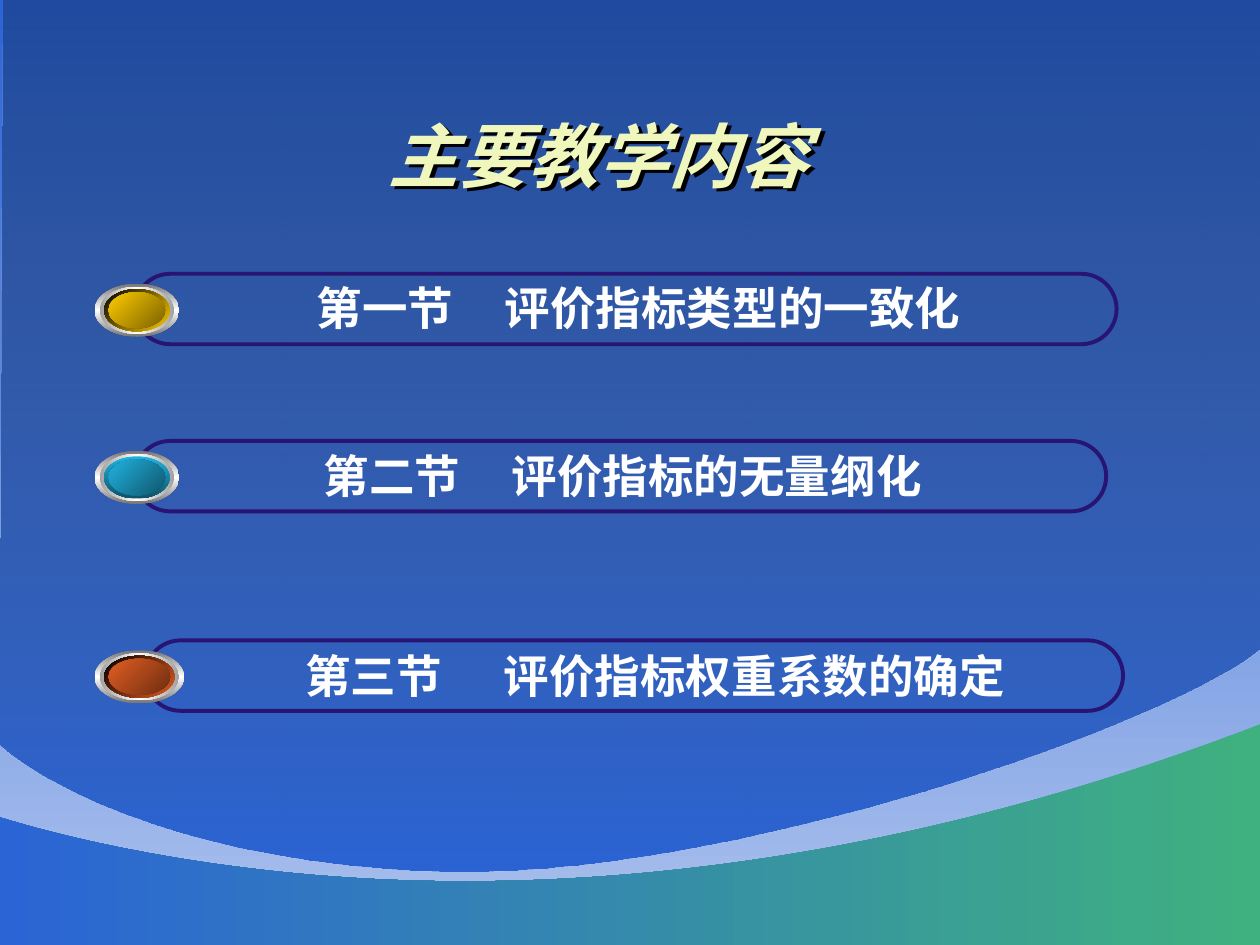
from lxml import etree
from pptx import Presentation
from pptx.dml.color import RGBColor
from pptx.enum import shapes, text
from pptx.oxml.ns import qn
from pptx.util import Cm, Pt

C = {
    "blue": "2B64D5", "pale": "ABC1ED", "navy": "132E62", "green": "3FB180",
    "title": "F0F7BD", "white": "FFFFFF", "black": "000000", "bar": "281472",
    "rim": "757575", "ring": "A1A1A1",
    "gold": "FFCC00", "gold_dark": "7B6200",
    "cyan": "21B3E1", "cyan_mid": "0F5267", "cyan_dark": "0F566C",
    "rust": "E35E23", "rust_dark": "6D2D10",
}

prs = Presentation()
prs.slide_width, prs.slide_height = Cm(25.4), Cm(19.05)
s = prs.slides.add_slide(prs.slide_layouts[6])


def gradient(fill, root, colours, angle, first_alpha=100):
    """Evenly spaced stops, angle in degrees clockwise."""
    fill.gradient()
    g = next(root.iter(qn("a:gradFill")))
    stops = g.find(qn("a:gsLst"))
    for old in list(stops):
        stops.remove(old)
    for i, name in enumerate(colours):
        gs = etree.SubElement(stops, qn("a:gs"), pos=str(100000 * i // (len(colours) - 1)))
        clr = etree.SubElement(gs, qn("a:srgbClr"), val=C[name])
        if i == 0 and first_alpha < 100:
            etree.SubElement(clr, qn("a:alpha"), val=str(first_alpha * 1000))
    g.find(qn("a:lin")).set("ang", str(angle * 60000))


def add_text(words, left, top, width, height, size=26, color="white", italic=False,
             align=text.PP_ALIGN.LEFT, indent=0.25, tab=None, shadow=False):
    sp = s.shapes.add_textbox(Cm(left), Cm(top), Cm(width), Cm(height))
    if shadow:
        fx = etree.SubElement(sp._element.spPr, qn("a:effectLst"))
        sh = etree.SubElement(fx, qn("a:outerShdw"), dist="35921", dir="2700000")
        etree.SubElement(sh, qn("a:srgbClr"), val=C["black"])
    tf = sp.text_frame
    tf.word_wrap = True
    tf.vertical_anchor = text.MSO_ANCHOR.MIDDLE
    tf.margin_left = Cm(indent)
    p = tf.paragraphs[0]
    p.alignment = align
    if tab:
        tabs = etree.SubElement(p._p.get_or_add_pPr(), qn("a:tabLst"))
        etree.SubElement(tabs, qn("a:tab"), pos=str(Cm(tab)), algn="l")
    r = p.add_run()
    r.text = words
    f = r.font
    f.name, f.size, f.bold, f.italic = "Arial", Pt(size), True, italic
    f.color.rgb = RGBColor.from_string(C[color])


# Background
gradient(s.background.fill, s._element, ["blue", "pale"], 90)

# Waves: start, two Bezier curves of three points each, closing corners, gradient
waves = [
    ([(0, 14.99),
      (0.3, 15.29), (2.84, 17.3), (8.71, 17.55),
      (14.58, 17.81), (23.77, 14.48), (25.4, 13.06),
      (25.4, 0), (0.05, 0), (0.08, 0.05)], ["navy", "blue"], 90, 46),
    ([(0, 16.48),
      (0.28, 16.56), (3.28, 17.53), (7.75, 17.73),
      (12.22, 17.93), (18.34, 17.35), (25.4, 14.6),
      (25.4, 19.05), (0, 19.05)], ["green", "blue"], 180, 100),
]
for points, colours, angle, alpha in waves:
    points = [(Cm(x), Cm(y)) for x, y in points]
    builder = s.shapes.build_freeform(*points[0])
    builder.add_line_segments(points[1:], close=True)
    sp = builder.convert_to_shape()
    # Turn the first six line segments into two curves
    lines = list(sp._element.iter(qn("a:lnTo")))
    for i in (0, 3):
        curve = etree.Element(qn("a:cubicBezTo"))
        lines[i].addprevious(curve)
        for line in lines[i:i + 3]:
            curve.append(line[0])
            line.getparent().remove(line)
    sp.shadow.inherit = False
    sp.line.fill.background()
    gradient(sp.fill, sp._element, colours, angle, alpha)

# Title
add_text("主要教学内容", 0.64, 1.9, 22.86, 2.41, size=40, color="title", italic=True,
         align=text.PP_ALIGN.CENTER, shadow=True)

# Sections: bar left, top, width; button width; button bowl and dome gradients;
# text, its left, width, height, indent and tab stop
BAR_H, BUTTON_X, BUTTON_H = 1.42, 1.91, 1.07
sections = [
    (2.72, 5.52, 19.79, 1.7, (["gold", "black"], 225), ["gold_dark", "gold"],
     "第一节\t评价指标类型的一致化", 3.71, 17.53, 1.37, 2.68, 3.79),
    (2.72, 8.89, 19.58, 1.7, (["cyan", "cyan_mid"], 90), ["cyan_dark", "cyan"],
     "第二节\t评价指标的无量纲化", 4.5, 16.1, 1.37, 2.03, 3.79),
    (2.93, 12.91, 19.71, 1.8, (["rust", "black"], 225), ["rust_dark", "rust"],
     "第三节\t评价指标权重系数的确定", 2.93, 19.71, BAR_H, 3.22, 4.01),
]
for (left, top, width, button_w, bowl, dome,
     words, text_x, text_w, text_h, indent, tab) in sections:
    sp = s.shapes.add_shape(shapes.MSO_SHAPE.ROUNDED_RECTANGLE,
                            Cm(left), Cm(top), Cm(width), Cm(BAR_H))
    sp.adjustments[0] = 0.5
    sp.shadow.inherit = False
    sp.fill.background()
    sp.line.color.rgb = RGBColor.from_string(C["bar"])
    sp.line.width = Pt(2.25)

    # Button: nested ellipses from rim to dome
    layers = [
        (0, 0, ["rim", "white", "rim"], 90),
        (0.1, 0.06, ["ring", "white", "ring"], 180),
        (0.19, 0.11, *bowl),
        (0.28, 0.17, dome, 225),
    ]
    for dx, dy, colours, angle in layers:
        sp = s.shapes.add_shape(shapes.MSO_SHAPE.OVAL, Cm(BUTTON_X + dx), Cm(top + 0.2 + dy),
                                Cm(button_w - 2 * dx), Cm(BUTTON_H - 2 * dy))
        sp.shadow.inherit = False
        sp.line.fill.background()
        gradient(sp.fill, sp._element, colours, angle)

    add_text(words, text_x, top, text_w, text_h, indent=indent, tab=tab)

prs.save("out.pptx")
